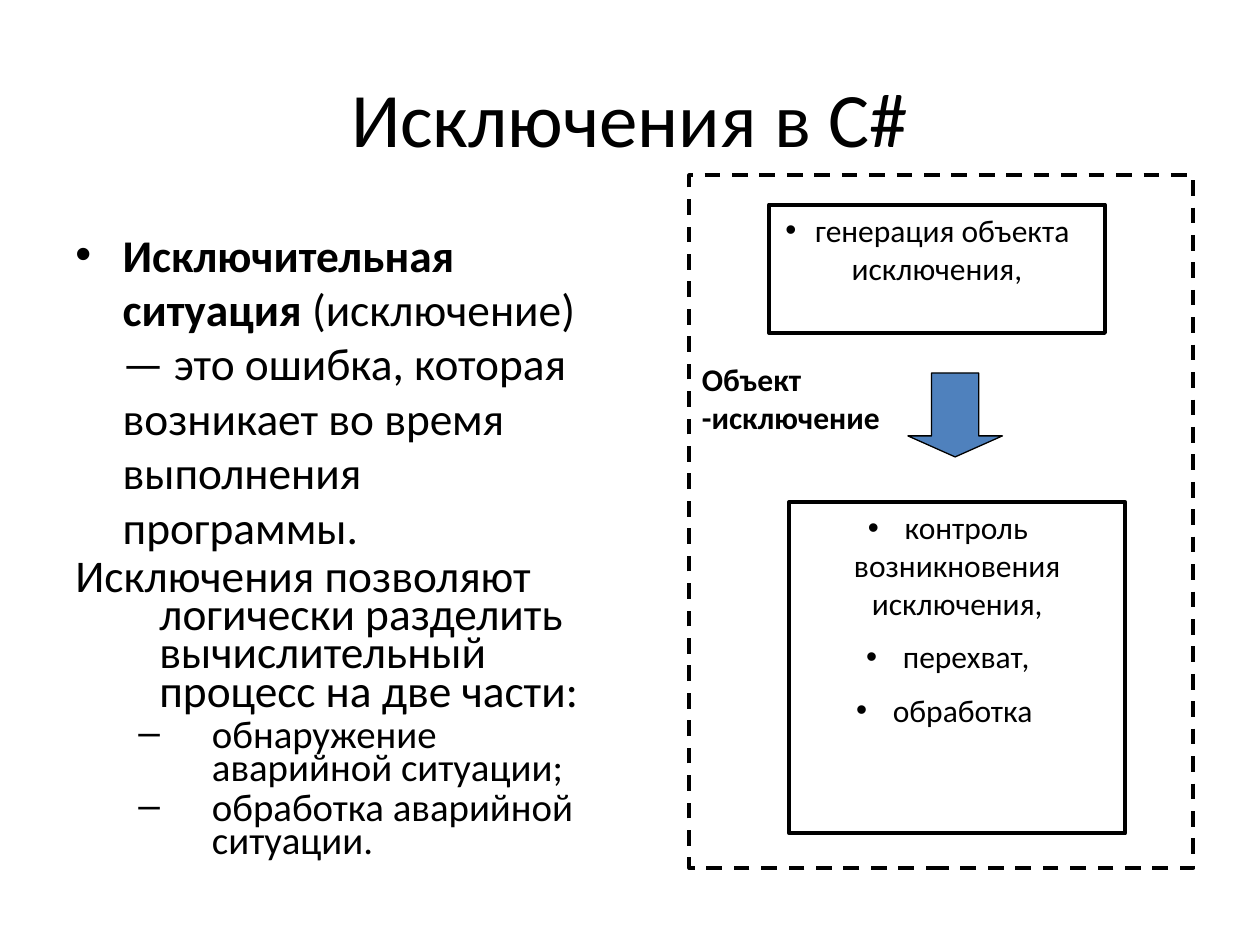
from lxml import etree
from pptx import Presentation
from pptx.dml.color import RGBColor
from pptx.enum.dml import MSO_LINE
from pptx.enum.shapes import MSO_SHAPE
from pptx.enum.text import MSO_ANCHOR, PP_ALIGN
from pptx.oxml.ns import qn
from pptx.util import Pt

BLACK = RGBColor(0x00, 0x00, 0x00)
BLUE = RGBColor(0x4F, 0x81, 0xBD)
FONT = "Calibri"
RECTANGLE, DOWN_ARROW = MSO_SHAPE.RECTANGLE, MSO_SHAPE.DOWN_ARROW
DASH = MSO_LINE.DASH
TOP, MIDDLE = MSO_ANCHOR.TOP, MSO_ANCHOR.MIDDLE
LEFT, CENTER = PP_ALIGN.LEFT, PP_ALIGN.CENTER


def points(box):
    """Turn a box of plain numbers into point lengths."""
    return [Pt(length) for length in box]


def style_paragraph(paragraph, size, align=LEFT, before=0, spacing=None,
                    margin=0, hanging=0, bullet=None, bold=False):
    """Format a paragraph and its runs."""
    paragraph.alignment = align
    paragraph.space_before = Pt(before)
    paragraph.line_spacing = spacing
    for run in paragraph.runs:
        run.font.name = FONT
        run.font.size = Pt(size)
        run.font.bold = bold
        run.font.color.rgb = BLACK
    properties = paragraph._p.get_or_add_pPr()
    if hanging:
        properties.set("marL", str(Pt(margin)))
        properties.set("indent", str(-Pt(hanging)))
    if bullet:
        etree.SubElement(properties, qn("a:buFont")).set("typeface", "Arial")
        etree.SubElement(properties, qn("a:buChar")).set("char", bullet)


def add_text(slide, box, lines, anchor=TOP, **style):
    """Add a wrapping text box with one style and return its frame."""
    frame = slide.shapes.add_textbox(*points(box)).text_frame
    frame.word_wrap = True
    frame.vertical_anchor = anchor
    frame.text = "\n".join(lines)
    for paragraph in frame.paragraphs:
        style_paragraph(paragraph, **style)
    return frame


def add_figure(slide, kind, box, line_width, fill=None):
    """Add a black-outlined shape."""
    figure = slide.shapes.add_shape(kind, *points(box))
    figure.shadow.inherit = False
    figure.line.color.rgb = BLACK
    figure.line.width = Pt(line_width)
    if fill is None:
        figure.fill.background()
    else:
        figure.fill.solid()
        figure.fill.fore_color.rgb = fill
    return figure


def add_step(slide, box, items):
    """Add a framed list of centred bullets."""
    frame = add_figure(slide, RECTANGLE, box, 2.25).text_frame
    frame.word_wrap = True
    frame.vertical_anchor = TOP
    frame.text = "\n".join(items)
    for paragraph in frame.paragraphs:
        style_paragraph(paragraph, 18, CENTER, before=9, bullet="•")


def add_definition(slide, box):
    """Add the definition of an exception and the two parts of handling it."""
    frame = add_text(slide, box, [
        "Исключительная ситуация ",
        "Исключения позволяют логически разделить вычислительный процесс на две части:",
        "обнаружение аварийной ситуации;",
        "обработка аварийной ситуации.",
    ], size=25.9)
    frame.margin_right = Pt(14)
    definition, purpose, *parts = frame.paragraphs
    definition.add_run().text = ("(исключение) — это ошибка, которая возникает "
                                 "во время выполнения программы.")
    style_paragraph(definition, 25.9, before=5.2, margin=27, hanging=27, bullet="•")
    definition.runs[0].font.bold = True
    style_paragraph(purpose, 25.9, before=5.2, spacing=0.7, margin=48, hanging=48)
    for part in parts:
        part.level = 1
        style_paragraph(part, 22.2, before=4.4, spacing=0.7,
                        margin=78, hanging=42, bullet="–")


def add_scheme(slide, box):
    """Add the dashed scheme from raising an exception to handling it."""
    left, top, width, height = box
    add_figure(slide, DOWN_ARROW, (left + 124.8, top + 113, 54, 48), 0.75, BLUE
               ).adjustments[1] = 0.25
    add_text(slide, (left, top + 102.2, 120, 50.4), ["Объект -исключение"],
             size=18, before=9, bold=True)
    add_step(slide, (left + 45.4, top + 16.8, 192, 73.4),
             ["генерация объекта исключения,"])
    add_step(slide, (left + 57, top + 186.8, 192, 189.4),
             [" контроль возникновения исключения,", " перехват,", " обработка "])
    add_figure(slide, RECTANGLE, box, 2.25).line.dash_style = DASH


def main():
    """Build and save the slide."""
    presentation = Presentation()
    presentation.slide_width, presentation.slide_height = Pt(720), Pt(540)
    slide = presentation.slides.add_slide(presentation.slide_layouts[6])
    add_text(slide, (36, 21.6, 648, 90), ["Исключения в C#"], MIDDLE,
             size=44, align=CENTER)
    add_definition(slide, (36, 126, 318.2, 356.4))
    add_scheme(slide, (394, 100.1, 288, 396))
    presentation.save("out.pptx")


main()
